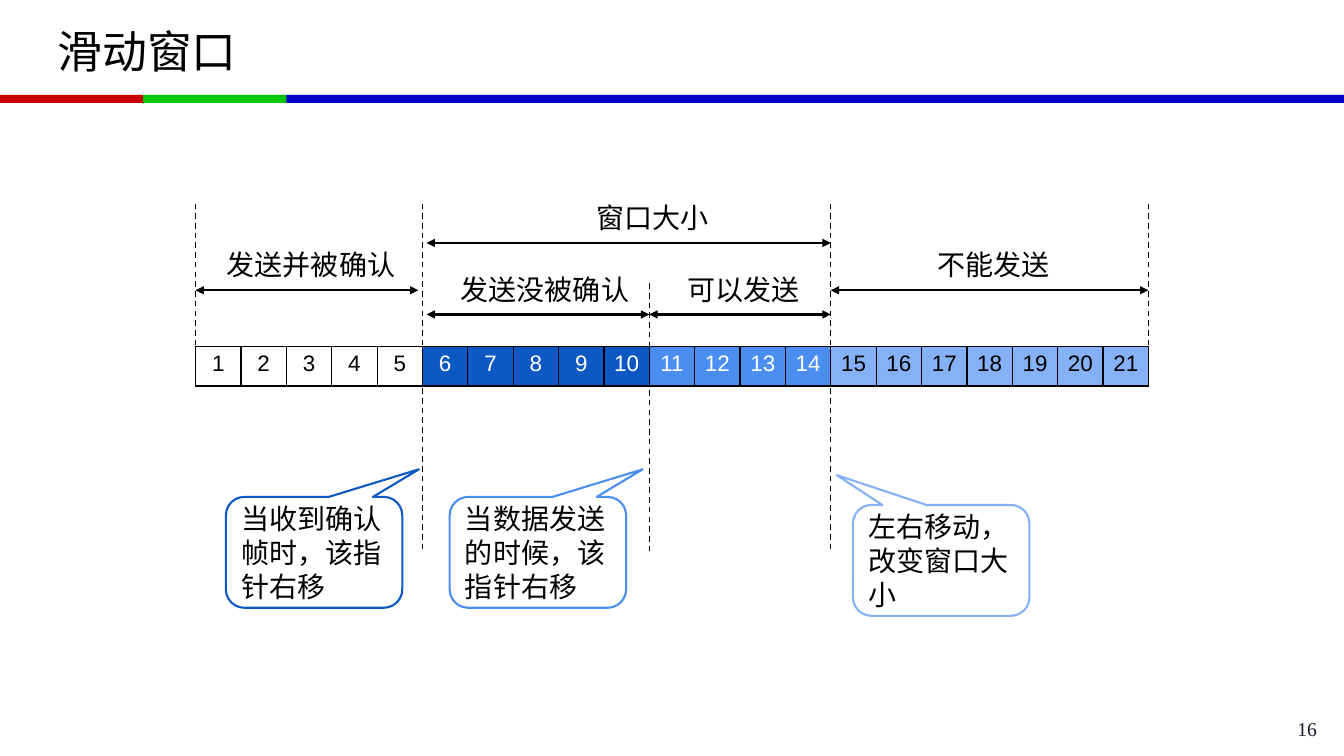
from dataclasses import dataclass

from lxml import etree
from pptx import Presentation
from pptx import util as u
from pptx.dml import color
from pptx.enum import dml, shapes, text
from pptx.oxml import ns

COLOURS = {
    "black": "000000", "white": "FFFFFF", "ink": "12192B",
    "red": "C80000", "green": "00C800", "blue": "0000C8",
    "deep": "0E58C4", "middle": "4A8EF2", "pale": "85B2F6",
}
CJK = "Noto Sans CJK SC"
GRID_LEFT, GRID_TOP, CELL_WIDTH, CELL_HEIGHT = 1.94, 3.44, 0.45, 0.39
GAP = 0.04


@dataclass(frozen=True)
class Bar:
    left: float
    width: float
    colour: str


@dataclass(frozen=True)
class Zone:
    count: int
    fill: str
    font: str


@dataclass(frozen=True)
class Marker:
    cell: int
    top: float
    bottom: float


@dataclass(frozen=True)
class Span:
    start: float
    end: float
    y: float


@dataclass(frozen=True)
class Label:
    wording: str
    left: float
    top: float
    width: float


@dataclass(frozen=True)
class Callout:
    wording: str
    left: float
    top: float
    tip: tuple[float, float]
    colour: str


def edge(cell: int) -> float:
    return GRID_LEFT + cell * CELL_WIDTH


BARS = [Bar(2.79, 10.54, "blue"), Bar(0, 1.42, "red"), Bar(1.42, 1.42, "green")]
ZONES = [
    Zone(5, "white", "black"), Zone(5, "deep", "white"),
    Zone(4, "middle", "white"), Zone(7, "pale", "black"),
]
MARKERS = [
    Marker(0, 2.02, 3.83), Marker(5, 2.02, 5.48), Marker(10, 2.81, 5.48),
    Marker(14, 2.02, 5.48), Marker(21, 2.02, 3.83),
]
SPANS = [
    Span(edge(0), edge(5) - GAP, 2.88), Span(edge(5) + GAP, edge(10), 3.12),
    Span(edge(10), edge(14), 3.12), Span(edge(14), edge(21), 2.88),
    Span(edge(5) + GAP, edge(14), 2.41),
]
LABELS = [
    Label("发送并被确认", 2.1, 2.41, 1.97), Label("不能发送", 8.87, 2.41, 1.97),
    Label("窗口大小", 5.49, 1.94, 1.97), Label("发送没被确认", 4.46, 2.65, 1.89),
    Label("可以发送", 6.59, 2.65, 1.57),
]
CALLOUTS = [
    Callout("当收到确认帧时，该指针右移", 2.24, 4.93, (0.594, -0.749), "deep"),
    Callout("当数据发送的时候，该指针右移", 4.46, 4.93, (0.594, -0.749), "middle"),
    Callout("左右移动，改变窗口大小", 8.46, 5.01, (-0.592, -0.769), "pale"),
]


def rgb(name: str) -> color.RGBColor:
    return color.RGBColor.from_string(COLOURS[name])


def write(frame, wording: str, *, size: float, font: str = CJK, colour: str = "black",
          align=text.PP_ALIGN.LEFT, anchor=text.MSO_ANCHOR.TOP, leading: float | None = None) -> None:
    frame.word_wrap = True
    frame.vertical_anchor = anchor
    para = frame.paragraphs[0]
    para.alignment = align
    if leading:
        para.line_spacing = u.Pt(leading)
    span = para.add_run()
    span.text = wording
    span.font.size = u.Pt(size)
    span.font.name = font
    span.font.color.rgb = rgb(colour)
    etree.SubElement(span.font._element, ns.qn("a:ea"), typeface=font)


def add_text(page, left: float, top: float, width: float, height: float, wording: str, **style) -> None:
    box = page.shapes.add_textbox(*map(u.Inches, (left, top, width, height)))
    write(box.text_frame, wording, **style)


def add_line(page, start: tuple[float, float], end: tuple[float, float], *,
             width: float, dashed: bool = False, arrows: bool = False) -> None:
    line = page.shapes.add_connector(shapes.MSO_CONNECTOR.STRAIGHT, *map(u.Inches, start + end))
    line.line.color.rgb = rgb("black")
    line.line.width = u.Pt(width)
    if dashed:
        line.line.dash_style = dml.MSO_LINE.DASH
    if arrows:
        for name in ("a:headEnd", "a:tailEnd"):
            etree.SubElement(line.line._get_or_add_ln(), ns.qn(name), type="triangle")
    etree.SubElement(line._element.spPr, ns.qn("a:effectLst"))


def add_bar(page, bar: Bar) -> None:
    box = page.shapes.add_shape(shapes.MSO_SHAPE.RECTANGLE,
                                *map(u.Inches, (bar.left, 0.94, bar.width, 0.08)))
    box.shadow.inherit = False
    box.fill.solid()
    box.fill.fore_color.rgb = rgb(bar.colour)
    box.line.fill.background()


def add_callout(page, callout: Callout) -> None:
    box = page.shapes.add_shape(shapes.MSO_SHAPE.ROUNDED_RECTANGULAR_CALLOUT,
                                *map(u.Inches, (callout.left, callout.top, 1.75, 1.1)))
    box.adjustments[0], box.adjustments[1] = callout.tip
    box.shadow.inherit = False
    box.fill.background()
    box.line.color.rgb = rgb(callout.colour)
    box.line.width = u.Pt(1.5)
    write(box.text_frame, callout.wording, size=20, anchor=text.MSO_ANCHOR.MIDDLE, leading=24)


def add_borders(cell) -> None:
    for side in ("L", "R", "T", "B"):
        border = etree.SubElement(cell._tc.get_or_add_tcPr(), ns.qn(f"a:ln{side}"), w=str(u.Pt(1)))
        fill = etree.SubElement(border, ns.qn("a:solidFill"))
        etree.SubElement(fill, ns.qn("a:srgbClr"), val=COLOURS["black"])


def add_frames(page) -> None:
    cells = [zone for zone in ZONES for _ in range(zone.count)]
    table = page.shapes.add_table(1, len(cells), *map(
        u.Inches, (GRID_LEFT, GRID_TOP, CELL_WIDTH * len(cells), CELL_HEIGHT))).table
    table.first_row = table.horz_banding = False
    for index, zone in enumerate(cells):
        table.columns[index].width = u.Inches(CELL_WIDTH)
        cell = table.cell(0, index)
        cell.margin_left = cell.margin_right = 0
        add_borders(cell)
        cell.fill.solid()
        cell.fill.fore_color.rgb = rgb(zone.fill)
        write(cell.text_frame, str(index + 1), size=16, font="Arial",
              colour=zone.font, align=text.PP_ALIGN.CENTER)


def main() -> None:
    deck = Presentation()
    deck.slide_width, deck.slide_height = u.Inches(13.33), u.Inches(7.5)
    page = deck.slides.add_slide(deck.slide_layouts[5])
    for bar in BARS:
        add_bar(page, bar)
    add_text(page, 10.05, 7.06, 3.11, 0.23, "16", size=14, font="Times New Roman",
             colour="ink", align=text.PP_ALIGN.RIGHT)
    title = page.shapes.title
    title.left, title.top, title.width, title.height = map(u.Inches, (0.47, 0.08, 12.39, 0.84))
    write(title.text_frame, "滑动窗口", size=32, anchor=text.MSO_ANCHOR.MIDDLE)
    add_frames(page)
    for marker in MARKERS:
        x = edge(marker.cell)
        add_line(page, (x, marker.top), (x, marker.bottom), width=1, dashed=True)
    for span in SPANS:
        add_line(page, (span.start, span.y), (span.end, span.y), width=1.5, arrows=True)
    for label in LABELS:
        add_text(page, label.left, label.top, label.width, 0.43, label.wording,
                 size=20, align=text.PP_ALIGN.CENTER, leading=24)
    for callout in CALLOUTS:
        add_callout(page, callout)
    deck.save("out.pptx")


if __name__ == "__main__":
    main()
